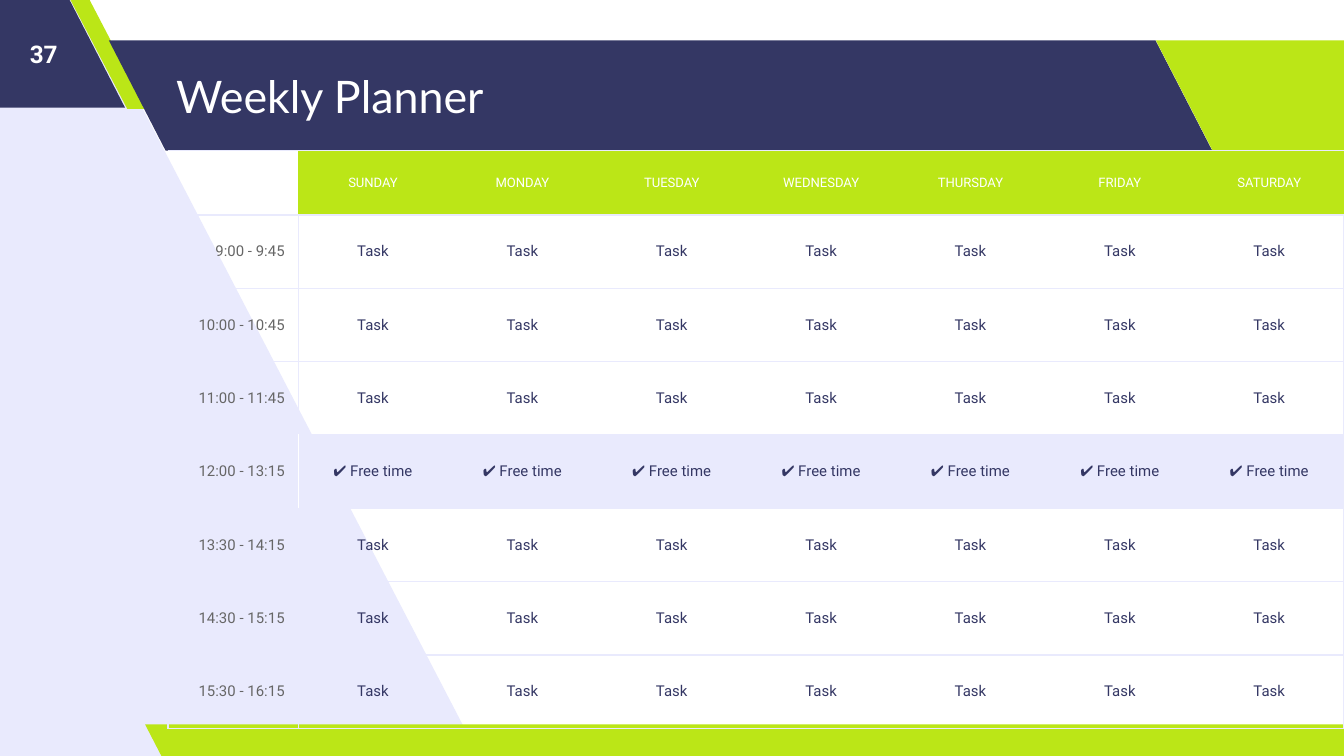
from dataclasses import dataclass
from typing import Optional

from lxml import etree
from pptx import Presentation
from pptx.dml.color import RGBColor as RGB
from pptx.enum.shapes import MSO_SHAPE as SHAPE
from pptx.enum.text import MSO_ANCHOR as ANCHOR, MSO_AUTO_SIZE as AUTO, PP_ALIGN as ALIGN
from pptx.oxml.ns import qn
from pptx.util import Inches, Pt


@dataclass(frozen=True)
class Theme:
    navy: str = "343764"
    lime: str = "BBE617"
    lilac: str = "E9EAFD"
    white: str = "FFFFFF"
    grey: str = "666666"
    title_font: str = "Lato"
    body_font: str = "Roboto"
    title_size: int = 24
    number_size: int = 13
    header_size: int = 7
    cell_size: int = 8
    border: float = 0.75


@dataclass(frozen=True)
class Band:
    left: float
    top: float
    width: float
    height: float
    slant: float
    color: str


@dataclass(frozen=True)
class TextStyle:
    size: int
    color: str
    align: ALIGN = ALIGN.CENTER
    font: str = Theme.body_font
    bold: bool = False


T = Theme()

SLIDE_WIDTH = 10
SLIDE_HEIGHT = SLIDE_WIDTH * 9 / 16
BANDS = [
    Band(-0.99, -0.02, 1.92, 0.82, 0.515, T.navy),
    Band(0.52, -0.01, 0.57, 0.82, 0.75, T.lime),
    Band(0.81, 0.3, 8.21, 0.82, 0.515, T.navy),
    Band(8.6, 0.3, 1.92, 0.82, 0.515, T.lime),
    Band(1.08, 5.39, 9.15, 0.25, 0.515, T.lime),
]
BACKDROP = [(3.56, 5.62), (0.62, -0.04), (-0.06, -0.04), (-0.02, 5.66)]

DAYS = ["SUNDAY", "MONDAY", "TUESDAY", "WEDNESDAY", "THURSDAY", "FRIDAY", "SATURDAY"]
BREAK = "12:00 - 13:15"
TIMES = ["9:00 - 9:45", "10:00 - 10:45", "11:00 - 11:45", BREAK,
         "13:30 - 14:15", "14:30 - 15:15", "15:30 - 16:15"]
TIME_WIDTH, DAYS_WIDTH = 0.97, 7.78
HEADER_HEIGHT, BODY_HEIGHT = 0.48, 3.82
NO_STYLE_NO_GRID = "{2D5ABB26-0587-4C30-8999-92F81FD0307C}"


def paint(sp, color: str) -> None:
    sp.shadow.inherit = False
    sp.fill.solid()
    sp.fill.fore_color.rgb = RGB.from_string(color)
    sp.line.fill.background()


def draw_backdrop(slide) -> None:
    points = [(Inches(x), Inches(y)) for x, y in BACKDROP]
    builder = slide.shapes.build_freeform(*points[0])
    builder.add_line_segments(points[1:], close=True)
    paint(builder.convert_to_shape(), T.lilac)


def draw_band(slide, band: Band) -> None:
    sp = slide.shapes.add_shape(
        SHAPE.PARALLELOGRAM, Inches(band.left), Inches(band.top),
        Inches(band.width), Inches(band.height))
    sp.adjustments[0] = band.slant
    sp.element.spPr.find(qn("a:xfrm")).set("flipH", "1")
    paint(sp, band.color)


def write(tf, text: str, style: TextStyle) -> None:
    tf.text = text
    p = tf.paragraphs[0]
    p.alignment = style.align
    for r in p.runs:
        r.font.name = style.font
        r.font.size = Pt(style.size)
        r.font.bold = style.bold
        r.font.color.rgb = RGB.from_string(style.color)


def fill_box(sp, text: str, style: TextStyle) -> None:
    tf = sp.text_frame
    tf.word_wrap = True
    tf.auto_size = AUTO.NONE
    tf.vertical_anchor = ANCHOR.MIDDLE
    tf.margin_left = tf.margin_right = tf.margin_top = tf.margin_bottom = Inches(0.1)
    write(tf, text, style)


def add_border(cell, side: str, color: Optional[str]) -> None:
    tc_pr = cell._tc.get_or_add_tcPr()
    ln = etree.SubElement(tc_pr, qn(f"a:ln{side}"), w=str(Pt(T.border)))
    if color:
        fill = etree.SubElement(ln, qn("a:solidFill"))
        etree.SubElement(fill, qn("a:srgbClr"), val=color)
    else:
        etree.SubElement(ln, qn("a:noFill"))


def fill_cell(cell, text: str, style: TextStyle, fill: Optional[str],
              borders: dict[str, str]) -> None:
    cell.vertical_anchor = ANCHOR.MIDDLE
    cell.margin_left = cell.margin_right = Inches(0.1)
    cell.margin_top = cell.margin_bottom = Inches(0.1)
    write(cell.text_frame, text, style)
    if not text:  # keeps the empty corner from stretching its row
        etree.SubElement(cell.text_frame.paragraphs[0]._p, qn("a:endParaRPr"),
                         sz=str(style.size * 100))
    for side in "LRTB":
        add_border(cell, side, borders.get(side))
    if fill:
        cell.fill.solid()
        cell.fill.fore_color.rgb = RGB.from_string(fill)
    else:
        cell.fill.background()


def draw_planner(slide) -> None:
    frame = slide.shapes.add_table(
        len(TIMES) + 1, len(DAYS) + 1, Inches(1.25), Inches(1.12),
        Inches(TIME_WIDTH + DAYS_WIDTH), Inches(HEADER_HEIGHT + BODY_HEIGHT))
    table = frame.table
    table.first_row = table.horz_banding = False
    table._tbl.tblPr.find(qn("a:tableStyleId")).text = NO_STYLE_NO_GRID
    for i, col in enumerate(table.columns):
        col.width = Inches(DAYS_WIDTH / len(DAYS) if i else TIME_WIDTH)
    for i, row in enumerate(table.rows):
        row.height = Inches(BODY_HEIGHT / len(TIMES) if i else HEADER_HEIGHT)

    rules = {"T": T.lilac, "B": T.lilac}

    # Day names, with an empty corner
    header = TextStyle(T.header_size, T.white)
    for c, day in enumerate(["", *DAYS]):
        fill_cell(table.cell(0, c), day, header, T.lime if day else None, rules)

    # One row for each time slot
    time_style = TextStyle(T.cell_size, T.grey, ALIGN.RIGHT)
    task_style = TextStyle(T.cell_size, T.navy)
    for r, time in enumerate(TIMES, start=1):
        is_break = time == BREAK
        fill = T.lilac if is_break else None
        divider = T.white if is_break else T.lilac
        task = "✔ Free time" if is_break else "Task"
        fill_cell(table.cell(r, 0), time, time_style, fill,
                  {**rules, "L": T.lilac, "R": divider})
        for c in range(1, len(DAYS) + 1):
            borders = dict(rules)
            if c == 1:
                borders["L"] = divider
            if c == len(DAYS):
                borders["R"] = T.lilac
            fill_cell(table.cell(r, c), task, task_style, fill, borders)


def main() -> None:
    prs = Presentation()
    prs.slide_width, prs.slide_height = Inches(SLIDE_WIDTH), Inches(SLIDE_HEIGHT)
    slide = prs.slides.add_slide(prs.slide_layouts[5])

    # Background shapes
    draw_backdrop(slide)
    for band in BANDS:
        draw_band(slide, band)

    # Title, raised above the bands
    title = slide.shapes.title
    title.left, title.top = Inches(1.21), Inches(0.3)
    title.width, title.height = Inches(7.35), Inches(0.82)
    fill_box(title, "Weekly Planner",
             TextStyle(T.title_size, T.white, ALIGN.LEFT, T.title_font))
    slide.shapes.element.append(title.element)

    # Slide number
    number = slide.shapes.add_textbox(0, 0, Inches(0.65), Inches(0.8))
    fill_box(number, "37", TextStyle(T.number_size, T.white, bold=True))

    draw_planner(slide)
    prs.save("out.pptx")


if __name__ == "__main__":
    main()
